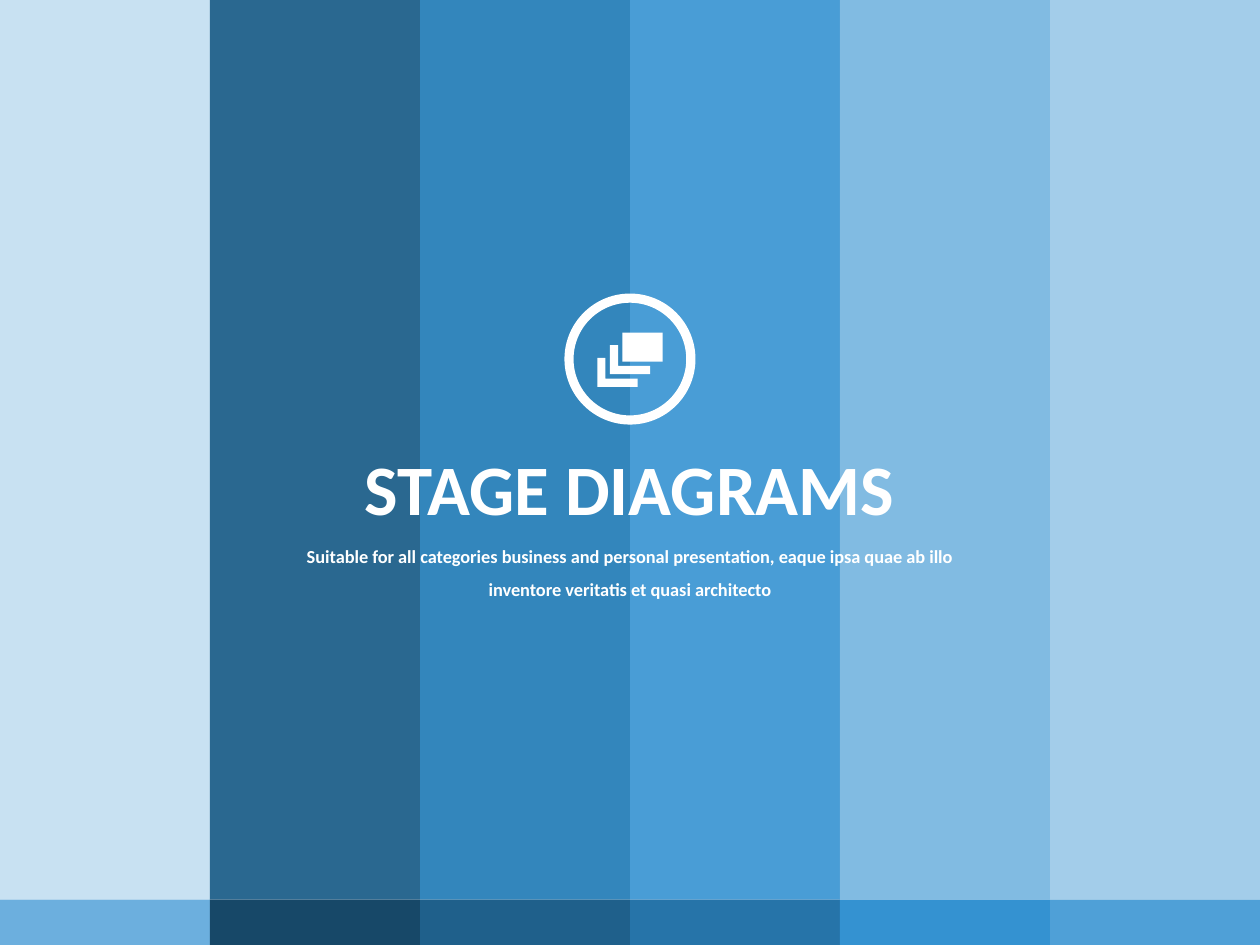
from pptx import Presentation
from pptx.dml.color import RGBColor
from pptx.enum.shapes import MSO_SHAPE as SHAPE
from pptx.enum.text import MSO_ANCHOR as ANCHOR, MSO_AUTO_SIZE as AUTO, PP_ALIGN as ALIGN
from pptx.oxml.ns import qn
from pptx.util import Inches, Pt
from lxml import etree

WIDTH, HEIGHT, STRIP = 10, 7.5, 0.36
WHITE = "FFFFFF"
BANDS = [
    ("C6E0F2", "6CAFDE"),
    ("1F608B", "174868"),
    ("2980B9", "1F608B"),
    ("4098D4", "2674A9"),
    ("7BB8E1", "3492D1"),
    ("9FCBE9", "4FA0D7"),
]
TITLE = {"text": "STAGE DIAGRAMS", "at": (2.78, 3.48, 4.44, 0.78),
         "size": 40.5, "spacing": 1, "wrap": False}
SUBTITLE = {"text": "Suitable for all categories business and personal presentation, "
                    "eaque ipsa quae ab illo inventore veritatis et quasi architecto",
            "at": (2.19, 4.19, 5.62, 0.63), "size": 10.5, "spacing": 1.5, "wrap": True}
RING = (4.48, 2.33, 1.04, 1.04)
CARD = (4.94, 2.64, 0.32, 0.23)
CARD_STEP, CARD_EDGE, CARDS_BEHIND = 0.1, 0.065, 2


def rgb(value):
    return RGBColor.from_string(value)


def paint(sp, color, alpha=None):
    sp.shadow.inherit = False
    sp.fill.solid()
    sp.fill.fore_color.rgb = rgb(color)
    sp.line.fill.background()
    if alpha:
        clr = sp.element.spPr.find(qn("a:solidFill"))[0]
        etree.SubElement(clr, qn("a:alpha")).set("val", str(alpha * 1000))


def add_block(s, kind, at, color, alpha=None):
    sp = s.shapes.add_shape(kind, *map(Inches, at))
    paint(sp, color, alpha)
    return sp


def add_corner(s, left, top, width, height, edge):
    right, bottom = left + width, top + height
    points = [(left, top), (left, bottom), (right, bottom), (right, bottom - edge),
              (left + edge, bottom - edge), (left + edge, top)]
    points = [(Inches(x), Inches(y)) for x, y in points]
    builder = s.shapes.build_freeform(*points[0])
    builder.add_line_segments(points[1:], close=True)
    paint(builder.convert_to_shape(), WHITE)


def fill_text(s, sp, item):
    sp.left, sp.top, sp.width, sp.height = map(Inches, item["at"])
    tf = sp.text_frame
    tf.text = item["text"]
    p = tf.paragraphs[0]
    frame = {"word_wrap": item["wrap"], "auto_size": AUTO.SHAPE_TO_FIT_TEXT,
             "vertical_anchor": ANCHOR.TOP}
    para = {"alignment": ALIGN.CENTER, "line_spacing": item["spacing"], "space_before": Pt(0)}
    font = {"name": "Calibri", "size": Pt(item["size"]), "bold": True}
    for target, values in ((tf, frame), (p, para), (p.runs[0].font, font)):
        for name, value in values.items():
            setattr(target, name, value)
    p.runs[0].font.color.rgb = rgb(WHITE)
    s.shapes.element.append(sp.element)


def main():
    prs = Presentation()
    prs.slide_width, prs.slide_height = Inches(WIDTH), Inches(HEIGHT)
    s = prs.slides.add_slide(prs.slide_layouts[0])
    title, subtitle = s.placeholders

    band_width, strip_top = WIDTH / len(BANDS), HEIGHT - STRIP
    for i, (band, strip) in enumerate(BANDS):
        left = i * band_width
        add_block(s, SHAPE.RECTANGLE, (left, 0, band_width, strip_top), band, 95)
        add_block(s, SHAPE.RECTANGLE, (left, strip_top, band_width, STRIP), strip)

    fill_text(s, title, TITLE)
    fill_text(s, subtitle, SUBTITLE)

    ring = add_block(s, SHAPE.DONUT, RING, WHITE)
    ring.adjustments[0] = 0.07
    add_block(s, SHAPE.RECTANGLE, CARD, WHITE)
    left, top, width, height = CARD
    for i in range(1, CARDS_BEHIND + 1):
        shift = i * CARD_STEP
        add_corner(s, left - shift, top + shift, width, height, CARD_EDGE)

    prs.save("out.pptx")


if __name__ == "__main__":
    main()
